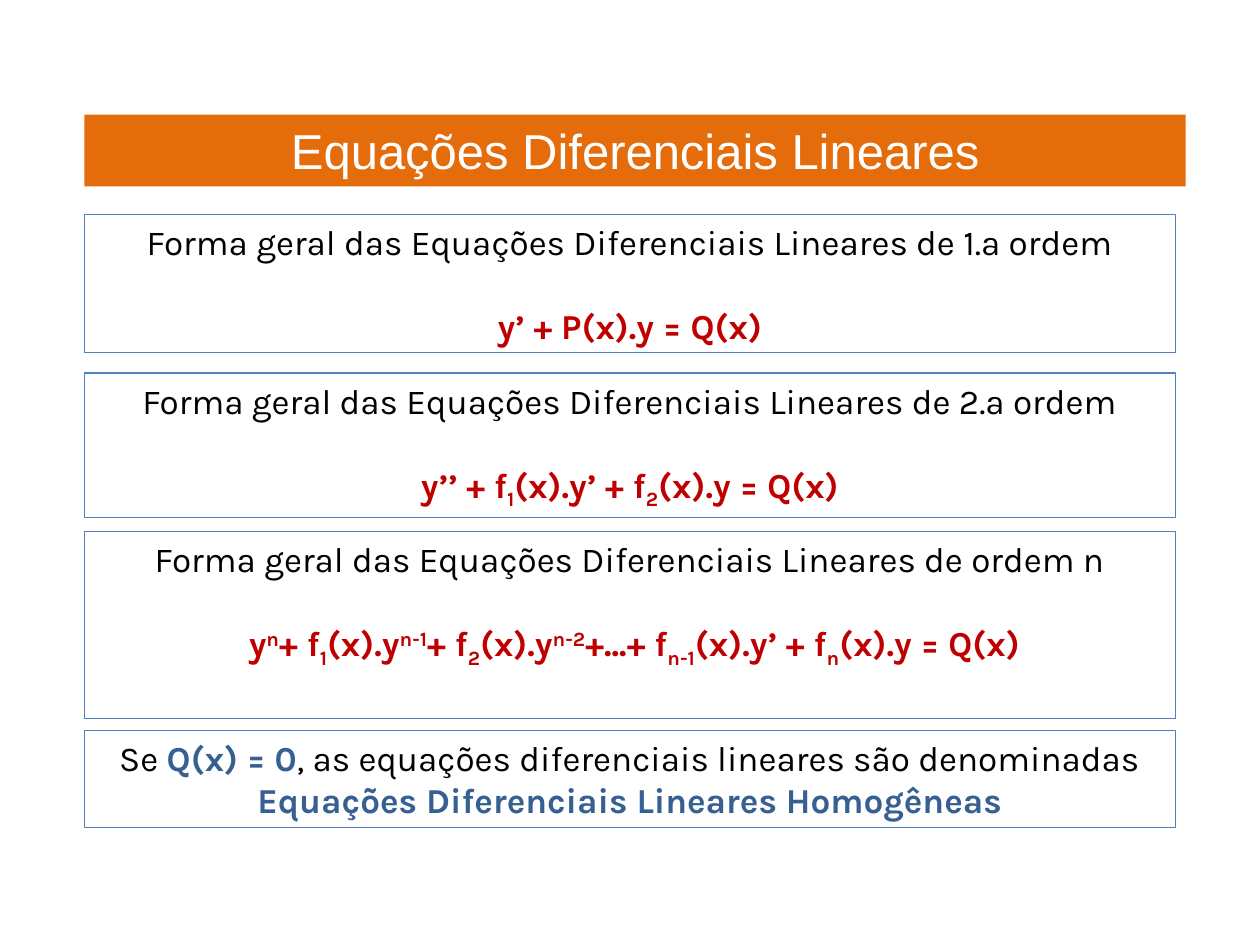
from pptx import Presentation
from pptx.dml.color import RGBColor as Rgb
from pptx.enum.shapes import MSO_SHAPE as Shape
from pptx.enum.text import MSO_ANCHOR as Anchor, PP_ALIGN as Align
from pptx.util import Inches, Pt

COLORS = {
    "banner": "E46C0A",
    "border": "4F81BD",
    "title": "FFFFFF",
    "body": "000000",
    "formula": "C00000",
    "emphasis": "376092",
}
CELL = Inches(0.1)
LEFT, CARD_WIDTH, BANNER_WIDTH = 6.7, 86.6, 87.4
FIRST_ROW, ROW_STEP = 17, 12.6
BASELINES = {"_": "-25000", "^": "30000"}
GENERAL_FORM = "Forma geral das Equações Diferenciais Lineares de "
FORMS = [
    ("1.a ordem", 11, ["y’ + P(x).y = Q(x)"]),
    ("2.a ordem", 11.5, ["y’’ + f", "_1", "(x).y’ + f", "_2", "(x).y = Q(x)"]),
    ("ordem n", 14.8, [
        " y", "^n", "+ f", "_1", "(x).y", "^n-1", "+ f", "_2", "(x).y", "^n-2",
        "+...+ f", "_n-1", "(x).y’ + f", "_n", "(x).y = Q(x)",
    ]),
]
HOMOGENEOUS = [
    ("Se ", "body"),
    ("Q(x) = 0", "emphasis"),
    (", as equações diferenciais lineares são denominadas ", "body"),
    ("Equações Diferenciais Lineares Homogêneas", "emphasis"),
]


def color(name):
    """Return the named colour."""
    return Rgb.from_string(COLORS[name])


def add_panel(page, area, fill=None, border=None):
    """Add a rectangle on the grid and return its text frame."""
    box = page.shapes.add_shape(Shape.RECTANGLE, *(round(n * CELL) for n in area))
    box.shadow.inherit = False
    if fill:
        box.fill.solid()
        box.fill.fore_color.rgb = color(fill)
    else:
        box.fill.background()
    if border:
        box.line.color.rgb = color(border)
        box.line.width = Pt(0.75)
    else:
        box.line.fill.background()
    frame = box.text_frame
    frame.word_wrap = True
    frame.vertical_anchor = Anchor.TOP
    frame.paragraphs[0].alignment = Align.CENTER
    return frame


def add_span(para, text, tint, size=20, face="Karla", bold=False):
    """Add a formatted run and return it."""
    span = para.add_run()
    span.text = text
    font = span.font
    font.name, font.size, font.bold = face, Pt(size), bold
    font.color.rgb = color(tint)
    return span


def add_banner(page, area, title):
    """Place the title on its filled banner."""
    frame = add_panel(page, area, fill="banner")
    add_span(frame.paragraphs[0], title, "title", size=28, face="Arial")


def add_form_card(page, area, heading, formula):
    """Place a heading with its equation one line below."""
    frame = add_panel(page, area, border="border")
    add_span(frame.paragraphs[0], heading, "body")
    para = frame.add_paragraph()
    para.alignment = Align.CENTER
    para.space_before = Pt(24)
    for part in formula:
        shift = BASELINES.get(part[0])
        span = add_span(para, part[1:] if shift else part, "formula", bold=True)
        if shift:
            span._r.get_or_add_rPr().set("baseline", shift)


def add_note_card(page, area, parts):
    """Place a sentence with emphasised terms."""
    frame = add_panel(page, area, border="border")
    for text, tint in parts:
        add_span(frame.paragraphs[0], text, tint, bold=tint == "emphasis")


def main():
    """Build and save the slide."""
    deck = Presentation()
    deck.slide_width, deck.slide_height = Inches(10), Inches(7.5)
    page = deck.slides.add_slide(deck.slide_layouts[6])
    add_banner(page, (LEFT, 9.1, BANNER_WIDTH, 5.7), "Equações Diferenciais Lineares")
    for index, (order, height, formula) in enumerate(FORMS):
        area = (LEFT, FIRST_ROW + index * ROW_STEP, CARD_WIDTH, height)
        add_form_card(page, area, GENERAL_FORM + order, formula)
    add_note_card(page, (LEFT, 58, CARD_WIDTH, 7.7), HOMOGENEOUS)
    deck.save("out.pptx")


if __name__ == "__main__":
    main()
